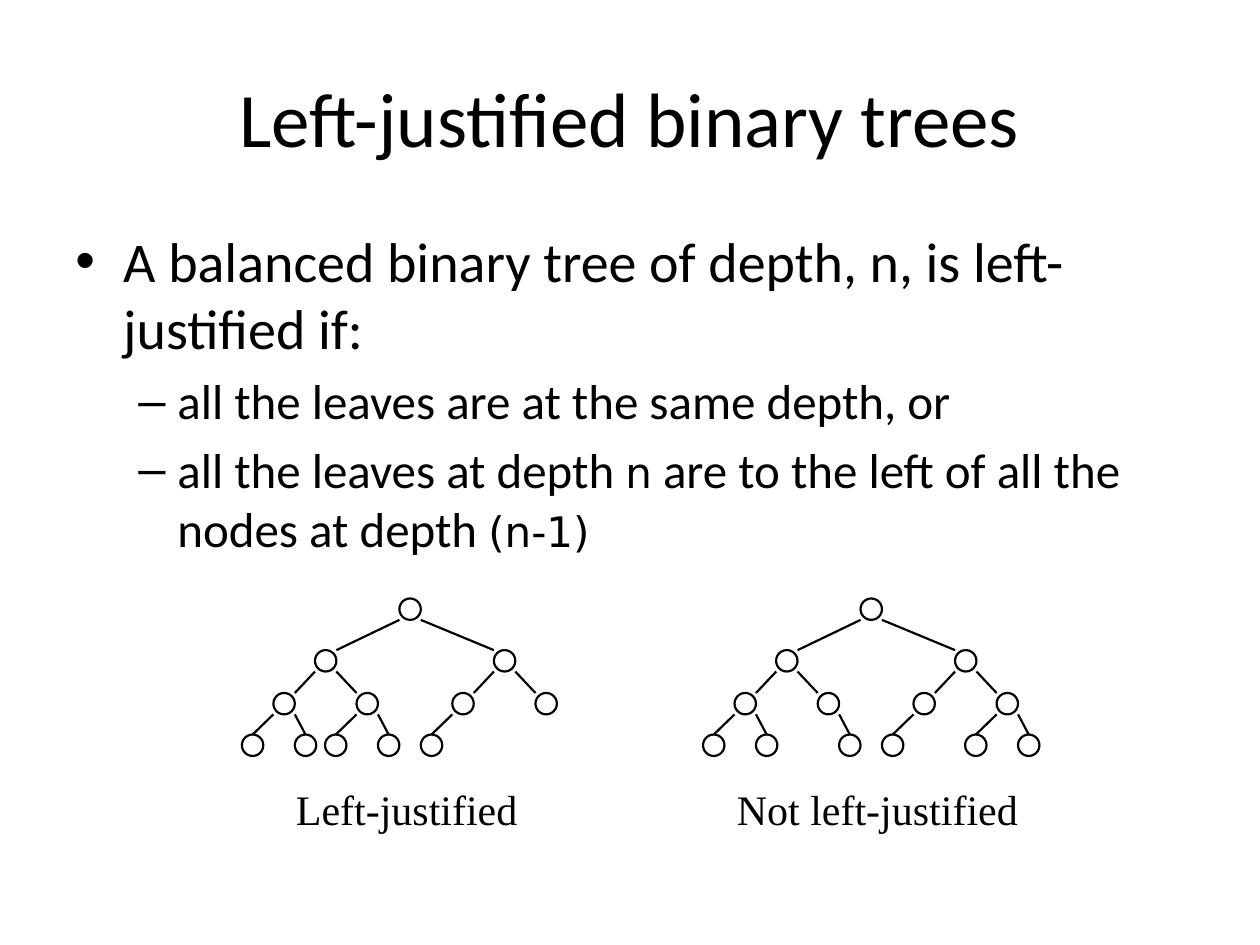
from lxml import etree
from pptx import Presentation
from pptx import util as u
from pptx.dml.color import RGBColor
from pptx.enum import shapes, text
from pptx.oxml import ns

BLACK = "000000"
NODE = 0.17
LEVEL_TOPS = [4.75, 5.16, 5.5, 5.83]
# Horizontal shift of the left and right child from its parent, per level
CHILD_SHIFTS = [(-0.67, 0.75), (-0.33, 0.33), (-0.25, 0.17)]
LEAF_LEVEL = len(CHILD_SHIFTS)


def colour(value):
    return RGBColor.from_string(value)


def add_box(page, left, top, width, height, anchor=text.MSO_ANCHOR.TOP):
    box = page.shapes.add_textbox(*map(u.Inches, (left, top, width, height)))
    box.text_frame.word_wrap = True
    box.text_frame.vertical_anchor = anchor
    return box


def add_text(para, words, size=24, font="Calibri", align=text.PP_ALIGN.LEFT):
    para.alignment = align
    span = para.add_run()
    span.text = words
    span.font.size = u.Pt(size)
    span.font.name = font
    span.font.color.rgb = colour(BLACK)


def set_bullet(para, mark, margin, hang):
    props = para._p.get_or_add_pPr()
    props.set("marL", str(u.Inches(margin)))
    props.set("indent", str(-u.Inches(hang)))
    etree.SubElement(props, ns.qn("a:buFont")).set("typeface", "Arial")
    etree.SubElement(props, ns.qn("a:buChar")).set("char", mark)


def add_line(page, start, end):
    line = page.shapes.add_connector(
        shapes.MSO_CONNECTOR.STRAIGHT, *map(u.Inches, (*start, *end)))
    line.line.color.rgb = colour(BLACK)
    line.line.width = u.Pt(1.25)
    etree.SubElement(line._element.spPr, ns.qn("a:effectLst"))


def add_node(page, left, top):
    node = page.shapes.add_shape(
        shapes.MSO_SHAPE.OVAL, *map(u.Inches, (left, top, NODE, NODE)))
    node.shadow.inherit = False
    node.fill.background()
    node.line.color.rgb = colour(BLACK)
    node.line.width = u.Pt(1.25)


def add_tree(page, left, leaves, index=1, level=0):
    """Draw a node and its subtrees; leaves holds heap indices of the last level."""
    top = LEVEL_TOPS[level]
    add_node(page, left, top)
    if level == LEAF_LEVEL:
        return
    for side, shift in enumerate(CHILD_SHIFTS[level]):
        child = 2 * index + side
        if level + 1 == LEAF_LEVEL and child not in leaves:
            continue
        child_left = left + shift
        # Leaves are met at the middle, other nodes at their inner corner
        reach = NODE / 2 if level + 1 == LEAF_LEVEL else NODE * (1 - side)
        add_line(page, (child_left + reach, LEVEL_TOPS[level + 1]),
                 (left + NODE * side, top + NODE))
        add_tree(page, child_left, leaves, child, level + 1)


def add_definition(page):
    frame = add_box(page, 0.5, 1.75, 9, 2.18).text_frame
    para = frame.paragraphs[0]
    set_bullet(para, "•", 0.38, 0.38)
    add_text(para, "A balanced binary tree of depth, n, is left-justified if:", size=32)

    conditions = [
        [("all the leaves are at the same depth, or", False)],
        [("all the leaves at depth ", False), ("n", True),
         (" are to the left of all the nodes at depth ", False), ("(n-1)", True)],
    ]
    for condition in conditions:
        para = frame.add_paragraph()
        para.level = 1
        para.space_before = u.Pt(5.6)
        set_bullet(para, "–", 0.81, 0.31)
        for words, is_formula in condition:
            if is_formula:
                add_text(para, words, size=24, font="DejaVu Sans")
            else:
                add_text(para, words, size=28)


def main():
    deck = Presentation()
    deck.slide_width, deck.slide_height = u.Inches(10), u.Inches(7.5)
    page = deck.slides.add_slide(deck.slide_layouts[6])

    title = add_box(page, 0.5, 0.3, 9, 1.25, text.MSO_ANCHOR.MIDDLE)
    add_text(title.text_frame.paragraphs[0], "Left-justified binary trees",
             size=44, align=text.PP_ALIGN.CENTER)
    add_definition(page)

    trees = [
        ("Left-justified", 2.25, 2.08, 3.17, {8, 9, 10, 11, 12}),
        ("Not left-justified", 5.75, 2.67, 6.83, {8, 9, 11, 12, 14, 15}),
    ]
    for caption, left, width, root_left, leaves in trees:
        box = add_box(page, left, 6.17, width, 0.5)
        add_text(box.text_frame.paragraphs[0], caption, font="Times New Roman")
        add_tree(page, root_left, leaves)

    deck.save("out.pptx")


if __name__ == "__main__":
    main()
